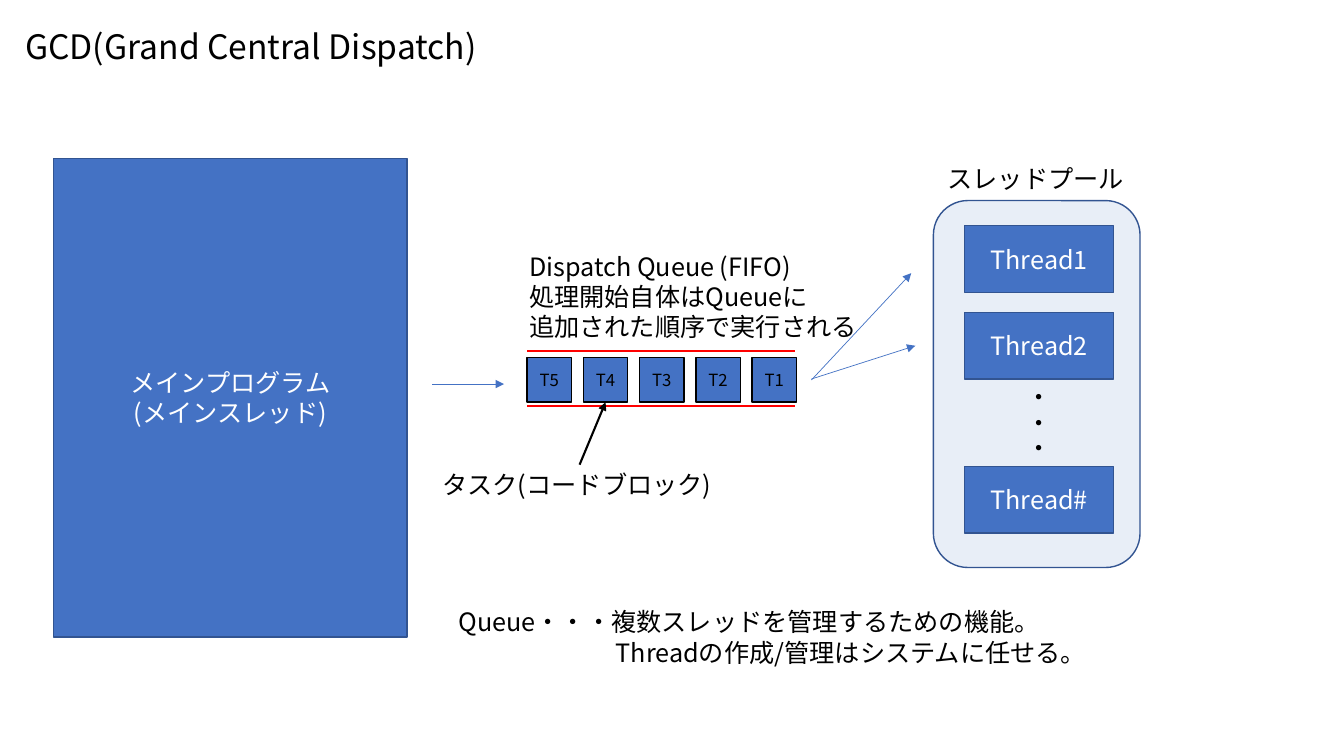
from lxml import etree
from pptx import Presentation, util as u
from pptx.dml.color import RGBColor
from pptx.enum import shapes, text
from pptx.oxml.ns import qn

FONT = "Noto Sans CJK JP"
BLUE, NAVY, PALE = "4472C4", "325491", "B4C7E7"
BLACK, WHITE, RED = "000000", "FFFFFF", "FF0000"
COLUMNS, ROWS = 133.33, 75  # grid cells are a tenth of an inch


def color(value):
    return RGBColor.from_string(value)


class Diagram:
    def __init__(self):
        self.deck = Presentation()
        self.deck.slide_width, self.deck.slide_height = u.Inches(13.33), u.Inches(7.5)
        self.slide = self.deck.slides.add_slide(self.deck.slide_layouts[5])

    def x(self, columns):
        return round(self.deck.slide_width * columns / COLUMNS)

    def y(self, rows):
        return round(self.deck.slide_height * rows / ROWS)

    def area(self, left, top, width, height):
        return self.x(left), self.y(top), self.x(width), self.y(height)

    def label(self, shape, wording, size=18, ink=BLACK, align="LEFT", anchor="TOP", wrap=True):
        frame = shape.text_frame
        frame.text = wording
        layout = {"word_wrap": wrap, "auto_size": text.MSO_AUTO_SIZE.NONE,
                  "vertical_anchor": getattr(text.MSO_ANCHOR, anchor)}
        for key, value in layout.items():
            setattr(frame, key, value)
        for paragraph in frame.paragraphs:
            paragraph.alignment = getattr(text.PP_ALIGN, align)
            for run in paragraph.runs:
                for key, value in {"name": FONT, "size": u.Pt(size)}.items():
                    setattr(run.font, key, value)
                run.font.color.rgb = color(ink)
                east_asian = etree.SubElement(run._r.get_or_add_rPr(), qn("a:ea"))
                east_asian.set("typeface", FONT)
        return shape

    def title(self, wording, *cells):
        heading = self.slide.shapes.title
        for key, value in zip(("left", "top", "width", "height"), self.area(*cells)):
            setattr(heading, key, value)
        self.label(heading, wording, size=24)

    def note(self, wording, *cells, **style):
        return self.label(self.slide.shapes.add_textbox(*self.area(*cells)), wording, **style)

    def box(self, wording, *cells, kind="RECTANGLE", fill=BLUE, edge=NAVY, size=18, ink=WHITE):
        block = self.slide.shapes.add_shape(getattr(shapes.MSO_SHAPE, kind), *self.area(*cells))
        block.shadow.inherit = False
        block.fill.solid()
        block.fill.fore_color.rgb = color(fill)
        block.line.color.rgb = color(edge)
        block.line.width = u.Pt(1)
        if wording:
            self.label(block, wording, size, ink, "CENTER", "MIDDLE")
        return block

    def line(self, start, end, ink, weight, arrow=True):
        stroke = self.slide.shapes.add_connector(
            shapes.MSO_CONNECTOR.STRAIGHT,
            self.x(start[0]), self.y(start[1]), self.x(end[0]), self.y(end[1]))
        stroke.line.color.rgb = color(ink)
        stroke.line.width = u.Pt(weight)
        properties = stroke._element.spPr
        if arrow:
            head = etree.SubElement(properties.find(qn("a:ln")), qn("a:tailEnd"))
            head.set("type", "triangle")
        etree.SubElement(properties, qn("a:effectLst"))
        return stroke


def set_opacity(shape, percent):
    tint = shape._element.spPr.find(qn("a:solidFill"))[0]
    etree.SubElement(tint, qn("a:alpha")).set("val", str(percent * 1000))


def main():
    gcd = Diagram()
    gcd.title("GCD(Grand Central Dispatch)", 1.5, 2.1, 102.4, 5)

    pool = gcd.box("", 92.6, 19.9, 20.5, 36.4, kind="ROUNDED_RECTANGLE", fill=PALE)
    set_opacity(pool, 30)
    gcd.note("スレッドプール", 93, 15.7, 19.7, 4)
    threads = [gcd.box(f"Thread{number}", 95.7, top, 14.8, 6.6)
               for number, top in (("1", 22.4), ("2", 31), ("#", 46.3))]
    dots = gcd.note("・・・", 98.3, 40, 9.6, 4, wrap=False)
    dots.rotation = 90
    gcd.slide.shapes.add_group_shape(threads + [dots])

    tasks = {number: gcd.box(f"T{number}", 52.3 + 5.58 * (5 - number), 35.5, 4.4, 4.4,
                             edge=BLACK, size=12, ink=BLACK)
             for number in range(1, 6)}
    for rail in (34.8, 40.3):
        gcd.line((52.3, rail), (78.9, rail), RED, 1.5, arrow=False)
    gcd.note("Dispatch Queue (FIFO)\n処理開始自体はQueueに\n追加された順序で実行される",
             51.5, 24.4, 34.8, 10.1, wrap=False)
    gcd.note("タスク(コードブロック)", 42.9, 46.1, 29.2, 4)
    pointer = gcd.line((57.5, 46.1), (60.1, 39.9), BLACK, 1.5)
    pointer.end_connect(tasks[4], 2)

    gcd.box("メインプログラム\n(メインスレッド)", 5.3, 15.7, 35.1, 47.5)
    for start, end in (((42.9, 38.1), (50, 38.1)),
                       ((80.5, 37.7), (90.4, 27.1)),
                       ((80.5, 37.6), (90.8, 34.3))):
        gcd.line(start, end, BLUE, 0.5)

    summary = gcd.note("Queue・・・複数スレッドを管理するための機能。\n"
                       "Threadの作成/管理はシステムに任せる。", 44.5, 59.7, 69, 7.1)
    indent = summary.text_frame.paragraphs[1]._p.get_or_add_pPr()
    indent.set("marL", str(gcd.x(15.6)))
    indent.set("indent", "0")

    gcd.deck.save("out.pptx")


if __name__ == "__main__":
    main()
